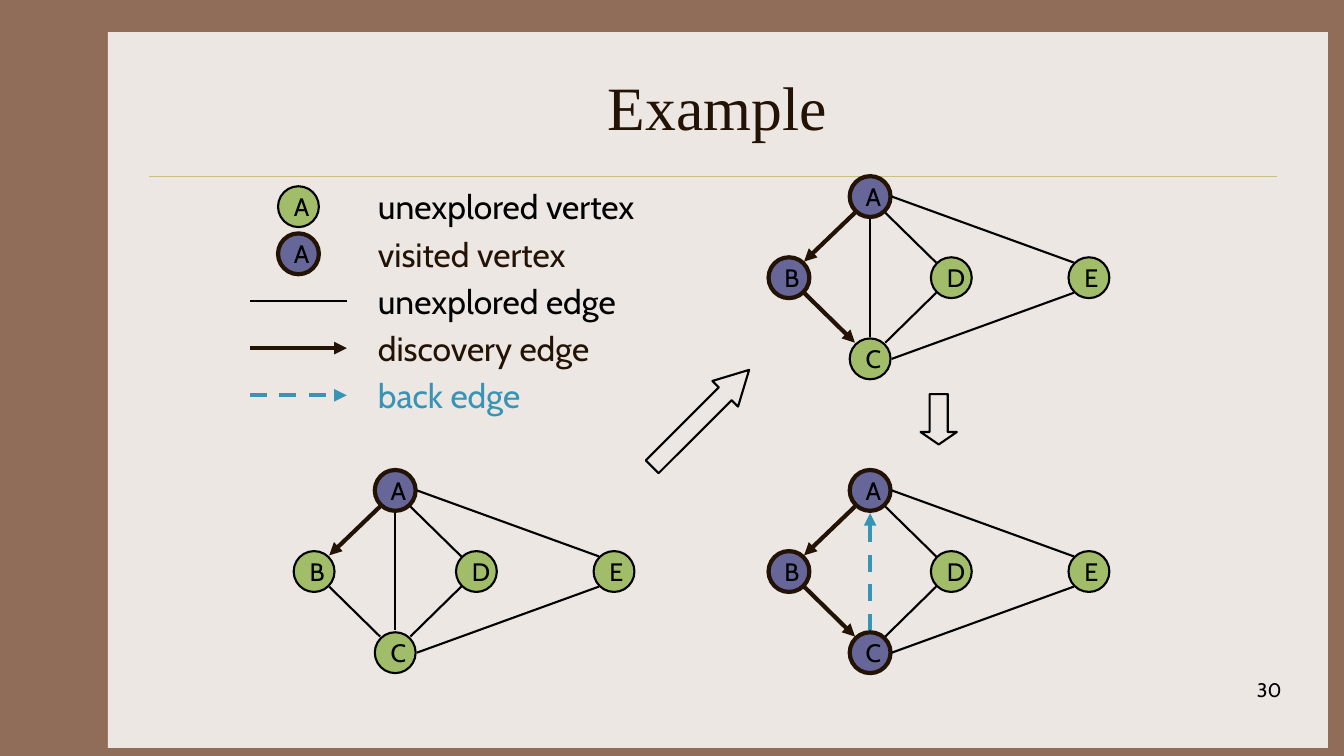
from dataclasses import dataclass

import lxml.etree
import pptx
import pptx.dml.color
import pptx.enum.dml
import pptx.enum.shapes
import pptx.enum.text
import pptx.oxml.ns
import pptx.util

RGBColor = pptx.dml.color.RGBColor
Align = pptx.enum.text.PP_ALIGN
Anchor = pptx.enum.text.MSO_ANCHOR
Preset = pptx.enum.shapes.MSO_SHAPE

FRAME_BROWN = RGBColor(0x90, 0x6D, 0x58)
PANEL = RGBColor(0xED, 0xE7, 0xE3)
RULE = RGBColor(0xCB, 0xBD, 0x83)
DARK = RGBColor(0x22, 0x13, 0x04)
BLACK = RGBColor(0, 0, 0)
GREEN = RGBColor(0xA1, 0xBD, 0x69)
VIOLET = RGBColor(0x66, 0x66, 0x99)
BLUE = RGBColor(0x36, 0x94, 0xB6)

COLUMNS, ROWS = 133.3, 75
CELL = pptx.util.Inches(0.1)
DIAMETER = 4.05
LEGEND_TOP, LEGEND_STEP = 18, 4.68


@dataclass(frozen=True)
class Stroke:
    color: RGBColor
    width: float
    arrow: bool = False
    dashed: bool = False


@dataclass(frozen=True)
class Edge:
    start: str
    end: str
    start_gap: tuple[float, float]
    end_gap: tuple[float, float]


@dataclass(frozen=True)
class Graph:
    column: float
    row: float
    visited: str
    discovery: tuple[str, ...]
    back: tuple[str, ...] = ()


@dataclass(frozen=True)
class LegendEntry:
    label: str
    color: RGBColor
    width: float
    stroke: Stroke | None = None
    visited: bool = False


@dataclass(frozen=True)
class BlockArrow:
    column: float
    row: float
    length: float
    rotation: float
    head: float


UNEXPLORED = Stroke(BLACK, 1.5)
VISITED = Stroke(DARK, 3)
DISCOVERY = Stroke(DARK, 3, arrow=True)
BACK = Stroke(BLUE, 3, arrow=True, dashed=True)

VERTICES = {"A": (0, 0), "B": (-8.05, 8.05), "C": (0, 16.1), "D": (8.05, 8.05), "E": (21.7, 8.05)}
EDGES = (
    Edge("A", "B", (-1.5, 1.6), (1.5, -1.6)),
    Edge("B", "C", (1.5, 1.5), (-1.5, -1.6)),
    Edge("C", "D", (1.5, -1.6), (-1.5, 1.5)),
    Edge("A", "D", (1.5, 1.6), (-1.5, -1.5)),
    Edge("C", "A", (0, -2.2), (0, 2.25)),
    Edge("C", "E", (2.15, 0), (-1.5, 1.5)),
    Edge("A", "E", (2.15, 0), (-1.5, -1.5)),
)
GRAPHS = (
    Graph(39.2, 48.65, "A", ("AB",)),
    Graph(86.3, 19.5, "AB", ("AB", "BC")),
    Graph(86.3, 48.65, "ABC", ("AB", "BC"), ("CA",)),
)
LEGEND = (
    LegendEntry("unexplored vertex", BLACK, 28.5),
    LegendEntry("visited vertex", DARK, 21.6, visited=True),
    LegendEntry("unexplored edge", BLACK, 26.6, UNEXPLORED),
    LegendEntry("discovery edge", DARK, 24, DISCOVERY),
    LegendEntry("back edge", BLUE, 17, BACK),
)
BLOCK_ARROWS = (
    BlockArrow(90.6, 39.8, 5, 90, 0.343),
    BlockArrow(62.7, 39.7, 13.6, 315, 0.932),
)


def cells(count: float) -> int:
    return round(count * CELL)


def write(shape, text: str, size: float, color: RGBColor, font: str = "Cabin",
          align=Align.LEFT, anchor=Anchor.TOP, wrap: bool = False) -> None:
    frame = shape.text_frame
    frame.text = text
    frame.word_wrap = wrap
    frame.vertical_anchor = anchor
    para = frame.paragraphs[0]
    para.alignment = align
    para.font.size = pptx.util.Pt(size)
    para.font.name = font
    para.font.color.rgb = color


def add_text_box(page, column: float, row: float, width: float, height: float):
    return page.shapes.add_textbox(cells(column), cells(row), cells(width), cells(height))


def add_preset(page, preset, column: float, row: float, width: float, height: float,
               fill: RGBColor | None, stroke: Stroke | None):
    shape = page.shapes.add_shape(preset, cells(column), cells(row), cells(width), cells(height))
    shape.shadow.inherit = False
    if fill is None:
        shape.fill.background()
    else:
        shape.fill.solid()
        shape.fill.fore_color.rgb = fill
    if stroke is None:
        shape.line.fill.background()
    else:
        shape.line.color.rgb = stroke.color
        shape.line.width = pptx.util.Pt(stroke.width)
    return shape


def add_line(page, start: tuple[float, float], end: tuple[float, float], stroke: Stroke) -> None:
    line = page.shapes.add_connector(
        pptx.enum.shapes.MSO_CONNECTOR.STRAIGHT, *map(cells, start + end))
    line.line.color.rgb = stroke.color
    line.line.width = pptx.util.Pt(stroke.width)
    if stroke.dashed:
        line.line.dash_style = pptx.enum.dml.MSO_LINE.DASH
    qn = pptx.oxml.ns.qn
    if stroke.arrow:
        lxml.etree.SubElement(line.line._get_or_add_ln(), qn("a:tailEnd"), type="triangle")
    lxml.etree.SubElement(line._element.spPr, qn("a:effectLst"))


def add_vertex(page, name: str, column: float, row: float, visited: bool) -> None:
    fill, stroke = (VIOLET, VISITED) if visited else (GREEN, UNEXPLORED)
    circle = add_preset(page, Preset.OVAL, column - DIAMETER / 2, row - DIAMETER / 2,
                        DIAMETER, DIAMETER, fill, stroke)
    write(circle, name, 18, BLACK, anchor=Anchor.MIDDLE)


def add_graph(page, graph: Graph) -> None:
    places = {name: (graph.column + x, graph.row + y) for name, (x, y) in VERTICES.items()}
    for name, place in places.items():
        add_vertex(page, name, *place, name in graph.visited)
    for edge in EDGES:
        pair = edge.start + edge.end
        stroke = DISCOVERY if pair in graph.discovery else BACK if pair in graph.back else UNEXPLORED
        start_x, start_y = places[edge.start]
        end_x, end_y = places[edge.end]
        add_line(page, (start_x + edge.start_gap[0], start_y + edge.start_gap[1]),
                 (end_x + edge.end_gap[0], end_y + edge.end_gap[1]), stroke)


def add_legend_entry(page, entry: LegendEntry, row: float) -> None:
    middle = row + 2.5
    if entry.stroke:
        add_line(page, (24.8, middle), (34.4, middle), entry.stroke)
    else:
        add_vertex(page, "A", 29.6, middle, entry.visited)
    label = add_text_box(page, 36.5, row, entry.width, 5)
    write(label, entry.label, 24, entry.color)


def add_block_arrow(page, arrow: BlockArrow) -> None:
    shape = add_preset(page, Preset.RIGHT_ARROW, arrow.column, arrow.row, arrow.length, 3.6,
                       None, UNEXPLORED)
    shape.adjustments[0] = 0.5
    shape.adjustments[1] = arrow.head
    shape.rotation = arrow.rotation


def main() -> None:
    deck = pptx.Presentation()
    deck.slide_width, deck.slide_height = cells(COLUMNS), cells(ROWS)
    page = deck.slides.add_slide(deck.slide_layouts[6])
    page.background.fill.solid()
    page.background.fill.fore_color.rgb = FRAME_BROWN
    add_preset(page, Preset.RECTANGLE, 10.7, 3.2, 121, 71, PANEL, None)
    add_line(page, (14.8, 17.5), (126.7, 17.5), Stroke(RULE, 0.25))
    write(add_text_box(page, 15.6, 4.2, 111.1, 12.5), "Example", 44, DARK,
          "Times New Roman", Align.CENTER, Anchor.MIDDLE, True)
    write(add_text_box(page, 100.3, 66.8, 27.8, 5), "30", 14, BLACK, align=Align.RIGHT, wrap=True)
    for graph in GRAPHS:
        add_graph(page, graph)
    for index, entry in enumerate(LEGEND):
        add_legend_entry(page, entry, LEGEND_TOP + index * LEGEND_STEP)
    for arrow in BLOCK_ARROWS:
        add_block_arrow(page, arrow)
    deck.save("out.pptx")


if __name__ == "__main__":
    main()
